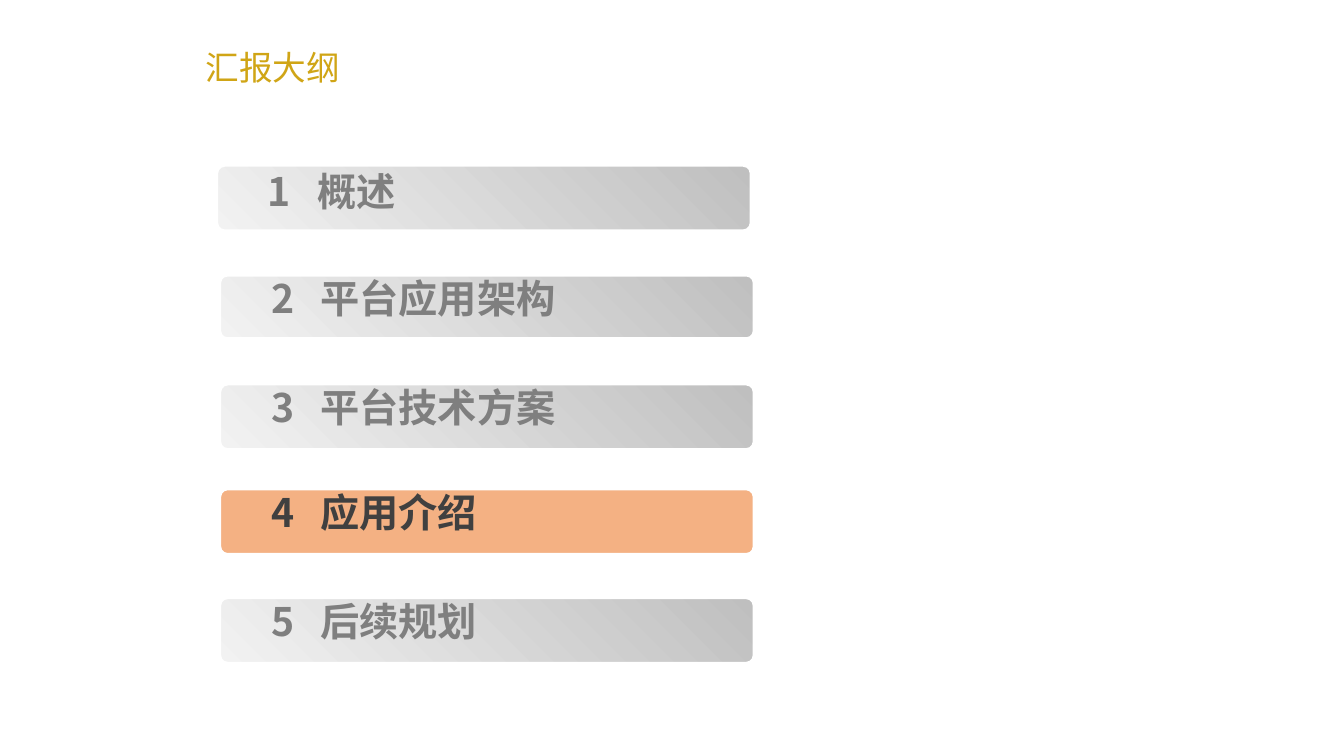
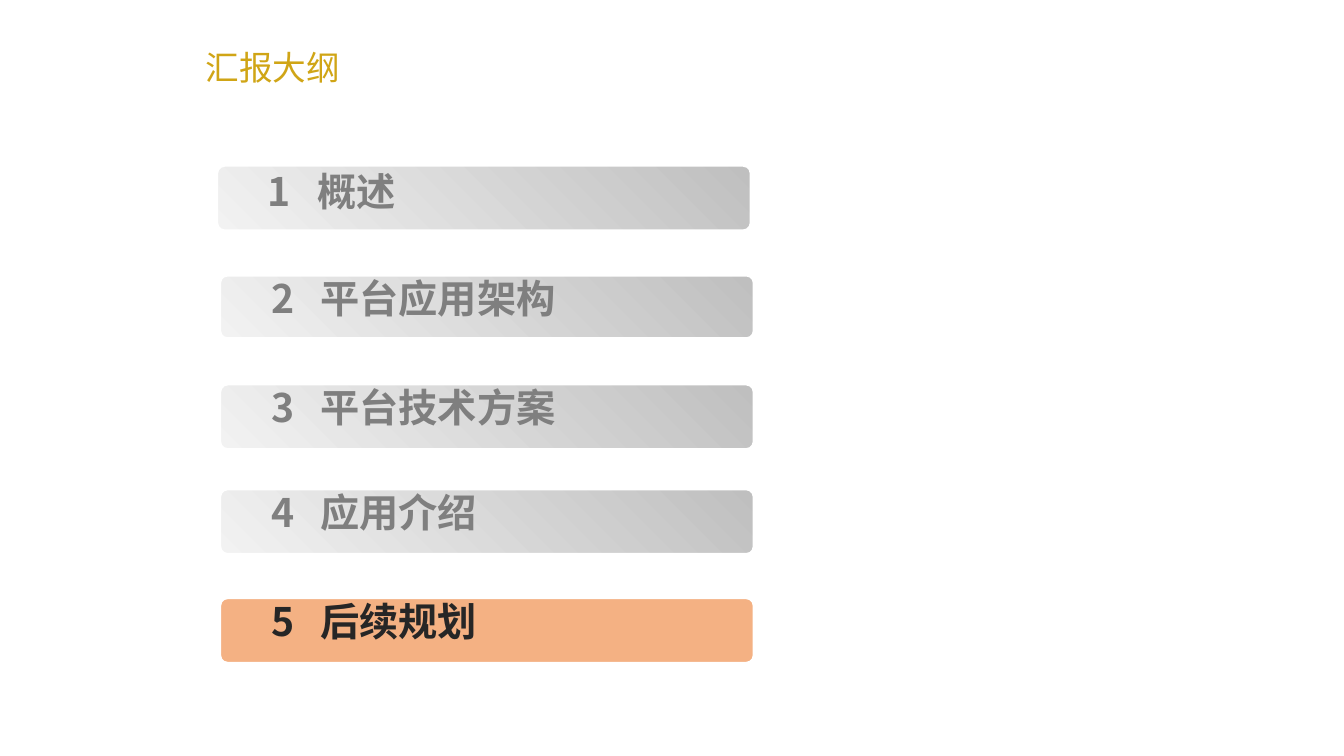
from dataclasses import dataclass
from lxml.etree import SubElement
from pptx import Presentation
from pptx.dml.color import RGBColor
from pptx.enum.shapes import MSO_SHAPE
from pptx.enum.text import MSO_ANCHOR, MSO_AUTO_SIZE, PP_ALIGN
from pptx.oxml.ns import qn
from pptx.util import Inches, Pt


@dataclass(frozen=True)
class Theme:
    """Colours, font and type sizes of the deck."""
    font: str = "Noto Sans CJK SC"
    gold: str = "D0A516"
    white: str = "FFFFFF"
    pale: str = "F2F2F2"
    grey: str = "BFBFBF"
    dim: str = "7F7F7F"
    peach: str = "F4B183"
    head: int = 24
    item: int = 28


@dataclass(frozen=True)
class Row:
    """One agenda bar: its label, place, height and text offset."""
    label: str
    top: float
    drop: float
    left: float = 2.18
    high: float = 0.65


ROWS = [
    Row("概述", 1.64, 0.02, left=2.15),
    Row("平台应用架构", 2.73, -0.01, high=0.63),
    Row("平台技术方案", 3.81, -0.01),
    Row("应用介绍", 4.85, -0.01),
    Row("后续规划", 5.93, 0),
]


class Deck:
    """Holds the style and the current slide."""

    def __init__(self, theme):
        """Start a wide deck."""
        self.theme = theme
        self.file = Presentation()
        self.file.slide_width = Inches(13.33)
        self.file.slide_height = Inches(7.5)
        self.slide = None

    def page(self, title):
        """Add a slide with a title."""
        self.slide = self.file.slides.add_slide(self.file.slide_layouts[5])
        head = self.slide.shapes.title
        head.left, head.top = Inches(1.94), Inches(0.13)
        head.width, head.height = Inches(6.93), Inches(0.87)
        frame = head.text_frame
        frame.auto_size = MSO_AUTO_SIZE.NONE
        frame.vertical_anchor = MSO_ANCHOR.MIDDLE
        para = frame.paragraphs[0]
        para.alignment = PP_ALIGN.LEFT
        para.line_spacing = 1.5
        para.space_before = Pt(self.theme.head * 0.2)
        self.run(para, title, self.theme.head, self.theme.gold, False)

    def run(self, para, text, size, tint, bold):
        """Add one styled run to a paragraph."""
        run = para.add_run()
        run.text = text
        font = run.font
        font.size, font.bold, font.name = Pt(size), bold, self.theme.font
        font.color.rgb = RGBColor.from_string(tint)
        east = SubElement(run._r.get_or_add_rPr(), qn("a:ea"))
        east.set("typeface", self.theme.font)

    def bar(self, group, row, live):
        """Draw a rounded bar, plain when live and shaded when not."""
        bar = group.shapes.add_shape(
            MSO_SHAPE.ROUNDED_RECTANGLE, Inches(row.left), Inches(row.top),
            Inches(5.3), Inches(row.high))
        bar.adjustments[0] = 0.12
        bar.shadow.inherit = False
        bar.line.color.rgb = RGBColor.from_string(self.theme.white)
        bar.line.width = Pt(2)
        if live:
            bar.fill.solid()
            bar.fill.fore_color.rgb = RGBColor.from_string(self.theme.peach)
            return
        bar.fill.gradient()
        bar.fill.gradient_angle = 45
        tints = (self.theme.pale, self.theme.grey)
        for stop, tint in zip(bar.fill.gradient_stops, tints):
            stop.color.rgb = RGBColor.from_string(tint)

    def label(self, group, row, number, tint):
        """Write the number and the label, set apart by a tab stop."""
        box = group.shapes.add_textbox(
            Inches(row.left + 0.41), Inches(row.top + row.drop),
            Inches(4.47), Inches(0.57))
        frame = box.text_frame
        frame.word_wrap = True
        frame.margin_top = frame.margin_bottom = 0
        para = frame.paragraphs[0]
        tabs = SubElement(para._p.get_or_add_pPr(), qn("a:tabLst"))
        SubElement(tabs, qn("a:tab"), pos=str(Inches(0.49)), algn="l")
        self.run(para, f"{number}\t{row.label}", self.theme.item, tint, True)

    def agenda(self, rows, live, ink):
        """Draw all bars and mark the live one."""
        for number, row in enumerate(rows, 1):
            group = self.slide.shapes.add_group_shape()
            self.bar(group, row, number == live)
            tint = ink if number == live else self.theme.dim
            self.label(group, row, number, tint)


deck = Deck(Theme())
for live, ink in ((4, "404040"), (5, "262626")):
    deck.page("汇报大纲")
    deck.agenda(ROWS, live, ink)
deck.file.save("out.pptx")
